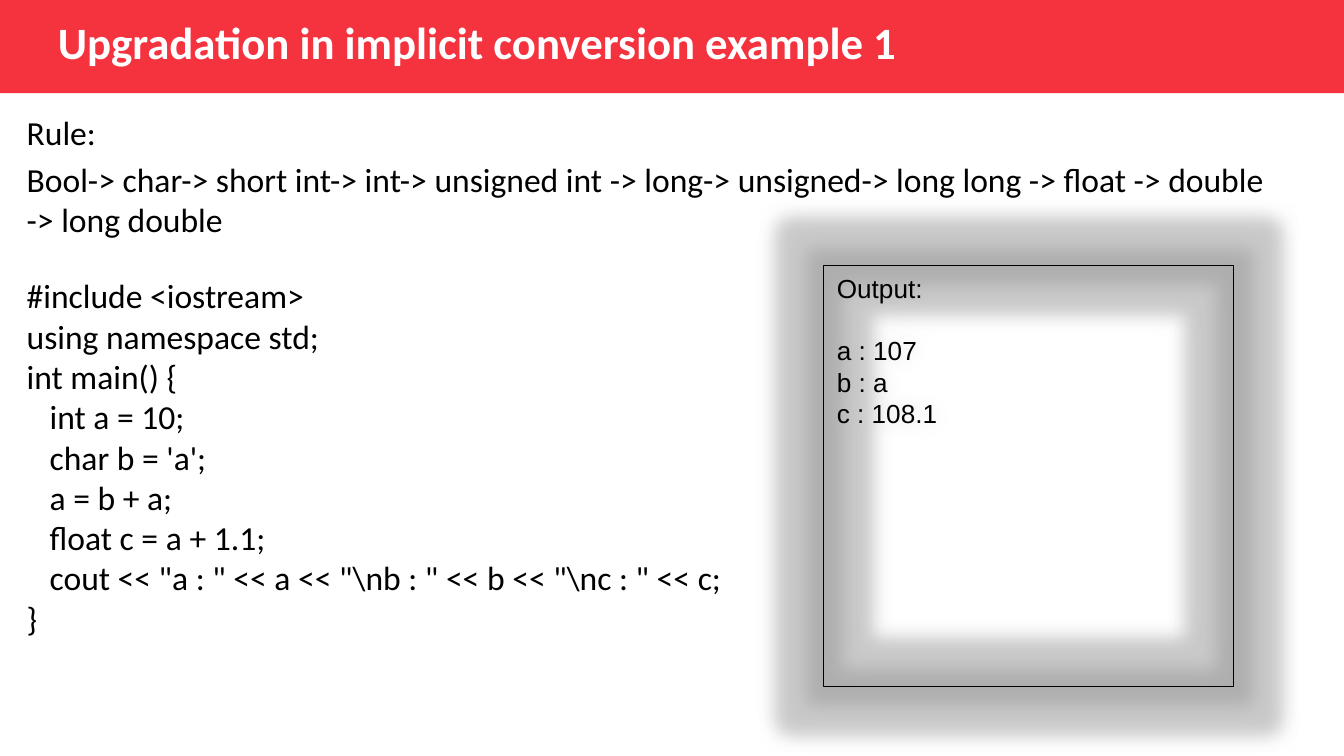
from lxml import etree
from pptx import Presentation
from pptx.dml.color import RGBColor
from pptx.enum.shapes import MSO_SHAPE
from pptx.enum.text import MSO_ANCHOR, PP_ALIGN
from pptx.oxml.ns import qn
from pptx.util import Pt

RECTANGLE = MSO_SHAPE.RECTANGLE
TOP = MSO_ANCHOR.TOP
LEFT = PP_ALIGN.LEFT
RED = RGBColor(0xF4, 0x33, 0x3F)
WHITE = RGBColor(0xFF, 0xFF, 0xFF)
BLACK = RGBColor(0, 0, 0)
GLOW_GRAY = RGBColor(0x90, 0x90, 0x90)

TITLE = "Upgradation in implicit conversion example 1"
RULE = ("Bool-> char-> short int-> int-> unsigned int -> long-> unsigned-> "
        "long long -> float -> double -> long double")
CODE_INDENT = 12.3
CODE = [
    ("Rule:", 0, 0),
    ("#include <iostream>", 0, 66),
    ("using namespace std;", 0, 0),
    ("int main() {", 0, 0),
    ("int a = 10;", 1, 0),
    ("char b = 'a';", 1, 0),
    ("a = b + a;", 1, 0),
    ("float c = a + 1.1;", 1, 0),
    (r'cout << "a : " << a << "\nb : " << b << "\nc : " << c;', 1, 0),
    ("}", 0, 0),
]
OUTPUT = [("Output:", 0, 0), ("a : 107", 0, 16.5), ("b : a", 0, 0), ("c : 108.1", 0, 0)]


def write(shape, lines, font, size, color, margins, bold=False):
    frame = shape.text_frame
    frame.word_wrap = True
    frame.vertical_anchor = TOP
    frame.margin_left = frame.margin_right = Pt(margins[0])
    frame.margin_top = frame.margin_bottom = Pt(margins[1])
    frame.text = "\n".join(text for text, level, gap in lines)
    for paragraph, (text, level, gap) in zip(frame.paragraphs, lines):
        paragraph.alignment = LEFT
        paragraph.space_before = Pt(gap)
        if level:
            paragraph._p.get_or_add_pPr().set("marL", str(Pt(level * CODE_INDENT)))
        for run in paragraph.runs:
            run.font.name = font
            run.font.size = Pt(size)
            run.font.bold = bold
            run.font.color.rgb = color


def add_effect(effects, tag, color, alpha, **attributes):
    effect = etree.SubElement(effects, qn(tag), attributes)
    fill = etree.SubElement(effect, qn("a:srgbClr"), val=str(color))
    etree.SubElement(fill, qn("a:alpha"), val=str(alpha * 1000))


presentation = Presentation()
presentation.slide_width = Pt(720)
presentation.slide_height = Pt(405)
slide = presentation.slides.add_slide(presentation.slide_layouts[6])
shapes = slide.shapes

banner = shapes.add_shape(RECTANGLE, 0, 0, Pt(720), Pt(50))
banner.shadow.inherit = False
banner.fill.solid()
banner.fill.fore_color.rgb = RED
banner.line.fill.background()

code = shapes.add_textbox(Pt(7.2), Pt(52.6), Pt(705), Pt(345))
write(code, CODE, "Calibri", 18, BLACK, (7.2, 7.2))

title = shapes.add_textbox(Pt(31), Pt(7.2), Pt(546.5), Pt(31))
write(title, [(TITLE, 0, 0)], "Calibri", 24, WHITE, (0, 0.7), bold=True)

rule = shapes.add_textbox(Pt(7.2), Pt(81.4), Pt(683.3), Pt(50.4))
write(rule, [(RULE, 0, 0)], "Calibri", 18, BLACK, (7.2, 3.6))

output = shapes.add_shape(RECTANGLE, Pt(441.2), Pt(142.4), Pt(219.6), Pt(225.4))
output.shadow.inherit = False
output.fill.background()
output.line.color.rgb = BLACK
output.line.width = Pt(0.75)
effects = output._element.spPr.find(qn("a:effectLst"))
add_effect(effects, "a:glow", GLOW_GRAY, 40, rad=str(Pt(18)))
add_effect(effects, "a:outerShdw", BLACK, 15, blurRad=str(Pt(10)), dist="0")
write(output, OUTPUT, "Arial", 14, BLACK, (7.2, 3.6))

presentation.save("out.pptx")
